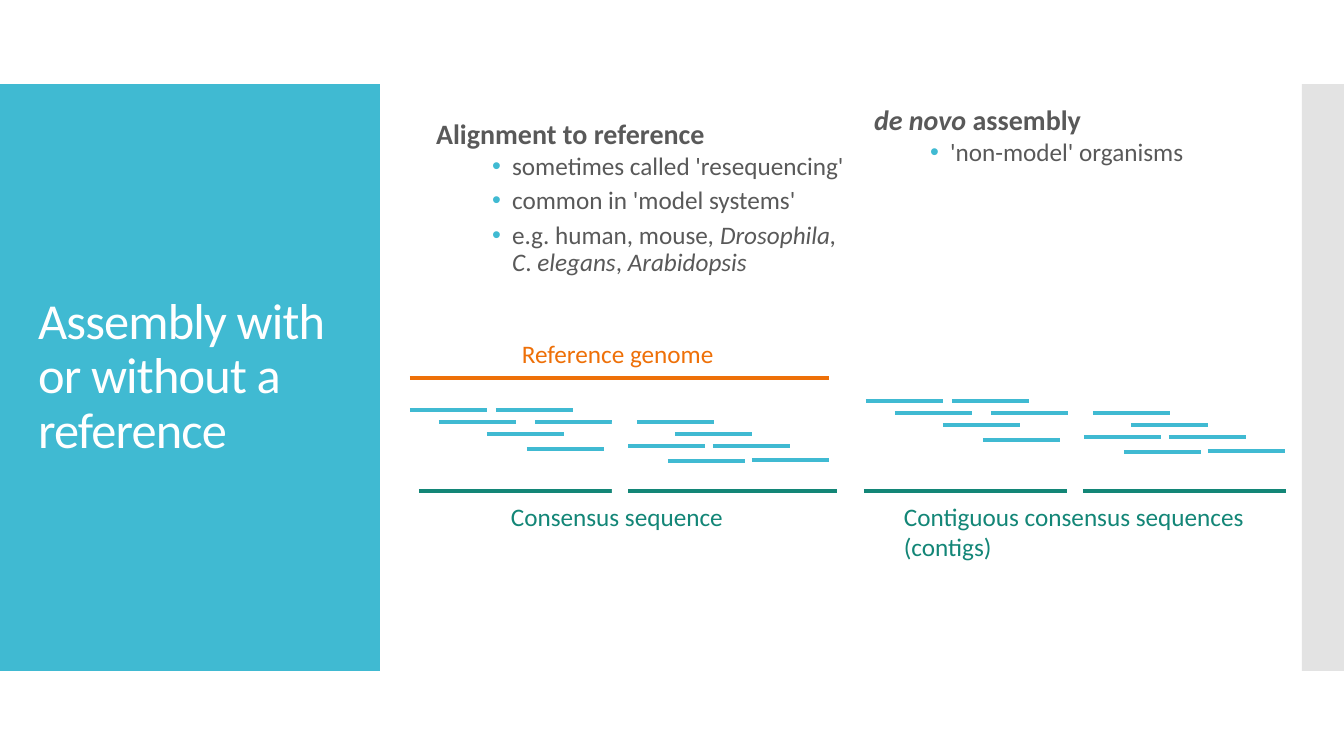
from lxml.etree import SubElement
from pptx import Presentation
from pptx.dml.color import RGBColor
from pptx.enum.shapes import MSO_CONNECTOR, MSO_SHAPE
from pptx.enum.text import MSO_ANCHOR, MSO_AUTO_SIZE, PP_ALIGN
from pptx.oxml.ns import qn
from pptx.util import Emu, Pt

EMU_PER_PX = 914400 / 100.8
FONT = "Calibri"
COLORS = {"teal": "40BAD2", "green": "138677", "orange": "EE7008",
          "text": "595959", "gray": "C8C8C8", "white": "FFFFFF"}

TITLE = "Assembly with or without a reference"
TITLE_BOX = (28, 124, 325, 507)
PANELS = [((0, 84, 380, 587), "teal", 100), ((1302, 84, 42, 587), "gray", 50)]

# Each paragraph is a list of (words, italic) runs: a heading, then bullets.
COLUMNS = [
    ((426, 96, 428, 205), [
        [("Alignment to reference", False)],
        [("sometimes called 'resequencing'", False)],
        [("common in 'model systems'", False)],
        [("e.g. human, mouse", False), (", Drosophila, C", True), (". ", False),
         ("elegans", True), (", ", False), ("Arabidopsis", True)],
    ]),
    ((864, 64, 383, 145), [
        [("de novo ", True), ("assembly", False)],
        [("'non-model' organisms", False)],
    ]),
]

READ_LENGTH = 77
READS = [(0, 0), (86, 0), (29, 12), (125, 12), (77, 24), (117, 39),
         (303, 36), (227, 12), (265, 24), (218, 36), (258, 51), (342, 50)]
READ_ORIGINS = [(410, 410), (866, 401)]
REFERENCE = (410, 829, 378)
CONSENSUS = [(419, 837, 491), (864, 1067, 491), (1083, 1286, 491)]
CONSENSUS_GAP = (612, 422, 16, 73)

LABELS = [
    ((512, 333, 219, 40), "orange", False, ["Reference genome"]),
    ((501, 496, 237, 40), "green", False, ["Consensus sequence"]),
    ((894, 496, 419, 71), "green", True,
     ["Contiguous consensus sequences", "(contigs)"]),
]


def px(*lengths):
    return [Emu(round(length * EMU_PER_PX)) for length in lengths]


def color(name):
    return RGBColor.from_string(COLORS[name])


def set_font(para, size, name, bold=False):
    font = para.font
    font.name, font.size, font.bold = FONT, Pt(size), bold
    font.color.rgb = color(name)
    return font


def add_block(page, box, fill):
    block = page.shapes.add_shape(MSO_SHAPE.RECTANGLE, *px(*box))
    block.shadow.inherit = False
    block.fill.solid()
    block.fill.fore_color.rgb = color(fill)
    block.line.fill.background()
    return block


def add_line(shapes, left, right, y, name):
    line = shapes.add_connector(MSO_CONNECTOR.STRAIGHT, *px(left, y, right, y))
    line.line.color.rgb = color(name)
    line.line.width = Pt(2.25)
    SubElement(line._element.spPr, qn("a:effectLst"))


def place(holder, box):
    holder.left, holder.top, holder.width, holder.height = px(*box)
    frame = holder.text_frame
    frame.word_wrap = True
    frame.auto_size = MSO_AUTO_SIZE.NONE
    frame.vertical_anchor = MSO_ANCHOR.MIDDLE
    return frame


def set_bullet(para, bulleted):
    props = para._p.get_or_add_pPr()
    margin, indent = px(76, -20) if bulleted else (0, 0)
    props.set("marL", str(margin))
    props.set("indent", str(indent))
    if bulleted:
        tint = SubElement(SubElement(props, qn("a:buClr")), qn("a:srgbClr"))
        tint.set("val", COLORS["teal"])
        SubElement(props, qn("a:buFont")).set("typeface", "Arial")
        SubElement(props, qn("a:buChar")).set("char", "•")
    else:
        SubElement(props, qn("a:buNone"))


def fill_column(holder, box, paragraphs):
    frame = place(holder, box)
    for index, runs in enumerate(paragraphs):
        bulleted = index > 0
        para = frame.add_paragraph() if bulleted else frame.paragraphs[0]
        para.level = int(bulleted)
        set_bullet(para, bulleted)
        para.line_spacing = 0.9
        para.space_before = para.space_after = Pt(2.5 if bulleted else 0)
        set_font(para, 18 if bulleted else 20, "text", not bulleted)
        for words, italic in runs:
            span = para.add_run()
            span.text = words
            span.font.italic = italic


def add_label(page, box, name, wrap, lines):
    frame = page.shapes.add_textbox(*px(*box)).text_frame
    frame.word_wrap = wrap
    frame.auto_size = MSO_AUTO_SIZE.SHAPE_TO_FIT_TEXT
    frame.text = "\n".join(lines)
    for para in frame.paragraphs:
        set_font(para, 18, name)


def main():
    deck = Presentation()
    deck.slide_width, deck.slide_height = px(1344, 756)
    page = deck.slides.add_slide(deck.slide_layouts.get_by_name("Two Content"))
    title, *bodies = page.placeholders

    for position, (box, fill, opacity) in enumerate(PANELS, start=2):
        panel = add_block(page, box, fill)
        if opacity < 100:
            tint = panel._element.spPr.find(".//" + qn("a:srgbClr"))
            SubElement(tint, qn("a:alpha")).set("val", str(opacity * 1000))
        page.shapes._spTree.insert(position, panel._element)

    frame = place(title, TITLE_BOX)
    frame.text = TITLE
    para = frame.paragraphs[0]
    para.alignment = PP_ALIGN.LEFT
    para.line_spacing = 0.9
    set_font(para, 36, "white")._element.set("spc", "-60")

    for holder, (box, paragraphs) in zip(bodies, COLUMNS):
        fill_column(holder, box, paragraphs)

    for index, (left, top) in enumerate(READ_ORIGINS):
        group = page.shapes.add_group_shape()
        if index == 0:
            add_line(group.shapes, *REFERENCE, "orange")
        for x, y in READS:
            add_line(group.shapes, left + x, left + x + READ_LENGTH, top + y, "teal")

    for segment in CONSENSUS:
        add_line(page.shapes, *segment, "green")
    for label in LABELS:
        add_label(page, *label)
    add_block(page, CONSENSUS_GAP, "white")

    deck.save("out.pptx")


if __name__ == "__main__":
    main()
